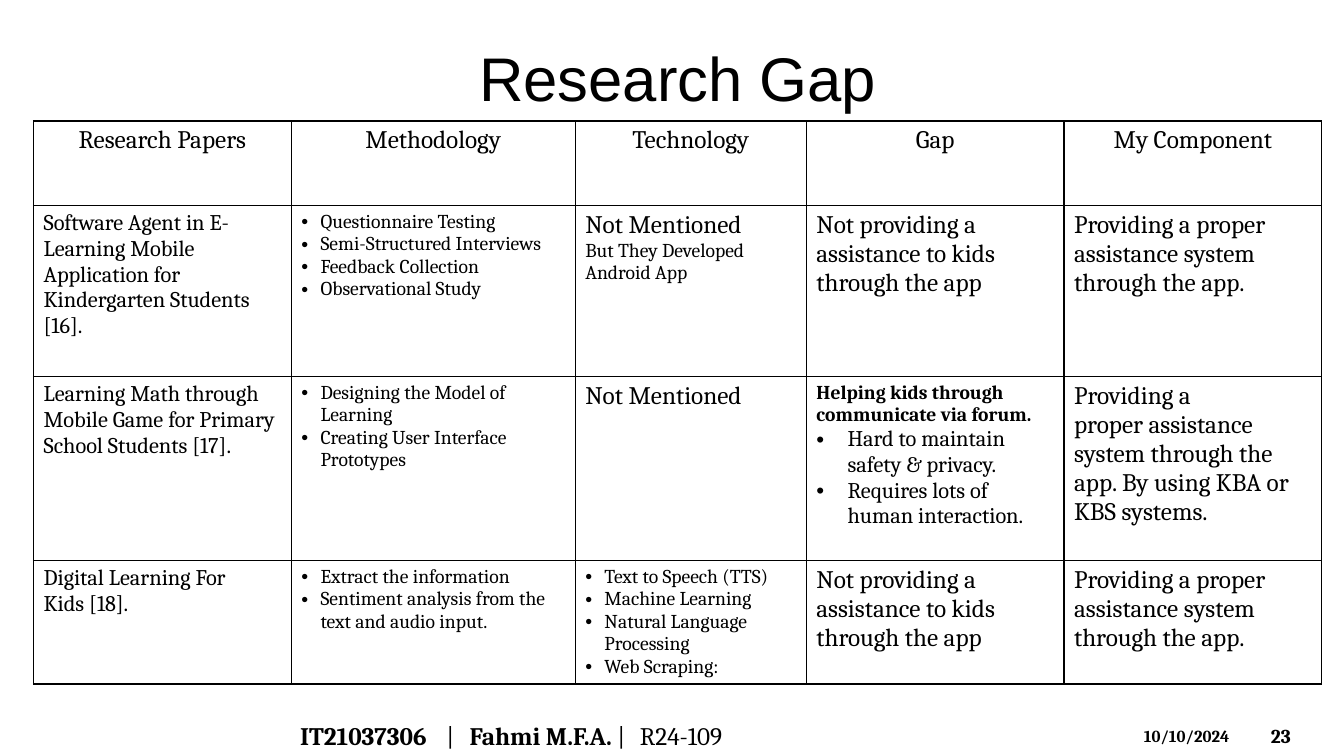
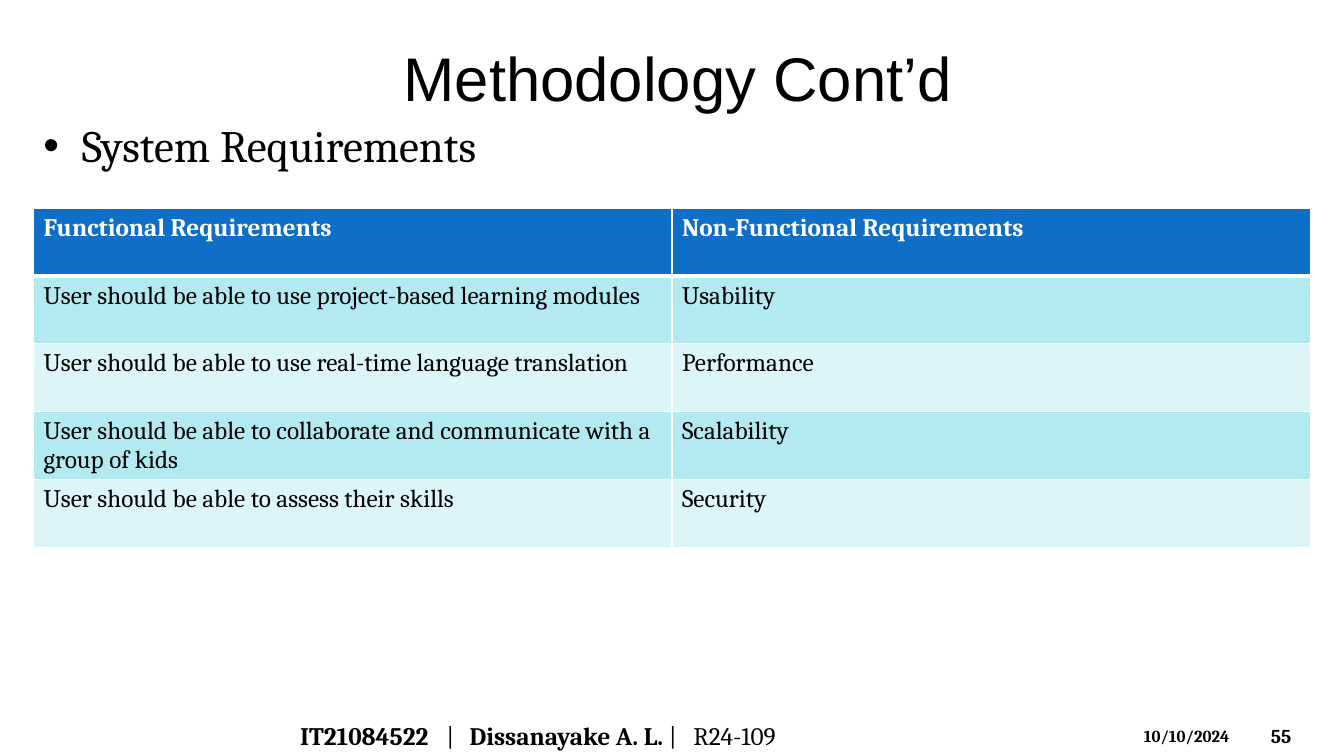
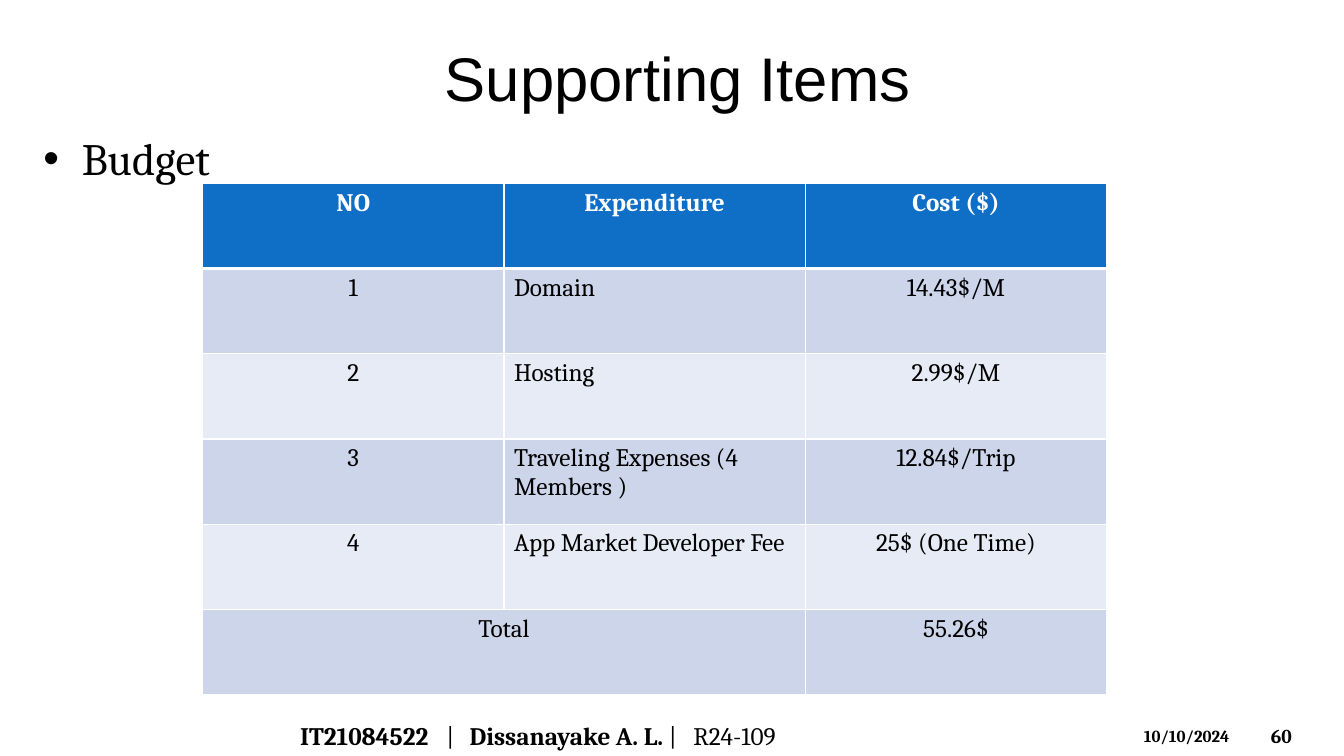
from dataclasses import dataclass
from pptx import Presentation
from pptx.dml.color import RGBColor
from pptx.enum.shapes import MSO_SHAPE
from pptx.enum.text import MSO_ANCHOR, MSO_AUTO_SIZE, PP_ALIGN
from pptx.oxml.ns import qn
from pptx.util import Inches, Pt
from lxml.etree import SubElement


@dataclass(frozen=True)
class Theme:
    black: str = "000000"
    white: str = "FFFFFF"
    blue: str = "0F6FC6"
    aqua: tuple = ("B3EAF2", "DBF5F9")
    slate: tuple = ("CCD5EA", "E7EBF5")
    title_font: str = "Arial"
    body_font: str = "Cambria"
    title: int = 44
    topic: int = 32
    normal: int = 18
    medium: int = 16
    small: int = 14
    tiny: int = 12


th = Theme()
STYLES = {
    "title": dict(size=th.title, name=th.title_font),
    "topic": dict(size=th.topic, indent=0.38),
    "head": dict(bold=True, color=th.white),
    "cell": dict(),
    "strong": dict(bold=True),
    "paper": dict(size=th.medium),
    "detail": dict(size=th.small),
    "lead": dict(size=th.small, bold=True),
    "item": dict(size=th.small, indent=0.19),
    "point": dict(size=th.medium, indent=0.31),
    "number": dict(size=th.small, bold=True),
    "date": dict(size=th.tiny, bold=True),
}
ALIGN = {"l": PP_ALIGN.LEFT, "c": PP_ALIGN.CENTER}
BANDS = [(42.54, 2.46, 0.63), (43.8, 1.2, 0.39)]
NBSP = chr(160)

prs = Presentation()
prs.slide_width, prs.slide_height = Inches(13.33), Inches(7.5)
COL, ROW = prs.slide_width / 40, prs.slide_height / 45


def write(p, runs, align="l"):
    p.alignment = ALIGN[align]
    pPr = p._p.get_or_add_pPr()
    for text, style in runs:
        fmt = {"size": th.normal, "name": th.body_font, "bold": False,
               "color": th.black, **STYLES[style]}
        indent = Inches(fmt.pop("indent", 0))
        if indent:
            pPr.set("marL", str(indent))
            pPr.set("indent", str(-indent))
            SubElement(pPr, qn("a:buFont")).set("typeface", "Arial")
            SubElement(pPr, qn("a:buChar")).set("char", "•")
        r = p.add_run()
        r.text = text
        r.font.color.rgb = RGBColor.from_string(fmt.pop("color"))
        fmt["size"] = Pt(fmt["size"])
        for key, value in fmt.items():
            setattr(r.font, key, value)


def place(sp, x, y, w, h, anchor=MSO_ANCHOR.MIDDLE):
    box = dict(left=x * COL, top=y * ROW, width=w * COL, height=h * ROW)
    for key, value in box.items():
        setattr(sp, key, int(value))
    tf = sp.text_frame
    for key, value in dict(word_wrap=True, auto_size=MSO_AUTO_SIZE.NONE,
                           vertical_anchor=anchor).items():
        setattr(tf, key, value)
    return tf.paragraphs[0]


NO_HELP = "Not providing a assistance to kids through the app"
HELP = "Providing a proper assistance system through the app."

slides = [
    dict(
        title="Research Gap", number="23",
        author=("IT21037306", "Fahmi M.F.A."), code_tab=3.37,
        at=(1, 7.2), cols=[7.67, 8.45, 6.88, 7.67, 7.67],
        rows=[5.04, 10.17, 10.96, 7.35],
        head="cell", head_align="c", aligns="lllll",
        line=th.black, head_line=1, head_fill=None, bands=None,
        cells=[
            ["Research Papers", "Methodology", "Technology", "Gap", "My Component"],
            [[("Software Agent in E-Learning Mobile Application for Kindergarten Students [16].", "paper")],
             [("Questionnaire Testing", "item"),
              ("Semi-Structured Interviews", "item"),
              ("Feedback Collection", "item"),
              ("Observational Study", "item")],
             [("Not Mentioned", "cell"),
              ("But They Developed Android App", "detail")],
             NO_HELP, HELP],
            [[("Learning Math through Mobile Game for Primary School Students [17].", "paper")],
             [("Designing the Model of Learning", "item"),
              ("Creating User Interface Prototypes", "item")],
             "Not Mentioned",
             [("Helping kids through communicate via forum.", "lead"),
              ("Hard to maintain safety & privacy.", "point"),
              ("Requires lots of human interaction.", "point")],
             f"Providing a proper{NBSP}assistance system{NBSP}through the app. By using KBA or KBS systems."],
            [[(f"Digital Learning For Kids{NBSP}[18].", "paper")],
             [("Extract the information", "item"),
              ("Sentiment analysis from the text and audio input.", "item")],
             [("Text to Speech (TTS)", "item"),
              ("Machine Learning", "item"),
              ("Natural Language Processing", "item"),
              ("Web Scraping:", "item")],
             NO_HELP, HELP],
        ]),
    dict(
        title="Methodology Cont’d", number="55",
        author=("IT21084522", "Dissanayake A. L."), code_tab=3.9,
        topic=("System Requirements", 6.72),
        at=(1, 12.43), cols=[19] * 2, rows=[4.02] * 5,
        head="head", head_align="l", aligns="ll",
        line=th.white, head_line=3, head_fill=th.blue, bands=th.aqua,
        cells=[
            ["Functional Requirements", "Non-Functional Requirements"],
            ["User should be able to use project-based learning modules", "Usability"],
            ["User should be able to use real-time language translation", "Performance"],
            ["User should be able to collaborate and communicate with a group of kids", "Scalability"],
            ["User should be able to assess their skills", "Security"],
        ]),
    dict(
        title="Supporting Items", number="60",
        author=("IT21084522", "Dissanayake A. L."), code_tab=3.9,
        topic=("Budget", 7.5),
        at=(6.03, 10.92), cols=[8.97] * 3, rows=[5.07] * 6,
        head="head", head_align="c", aligns="clc",
        line=th.white, head_line=3, head_fill=th.blue, bands=th.slate,
        cells=[
            ["NO", "Expenditure", "Cost ($)"],
            ["1", "Domain", "14.43$/M"],
            ["2", "Hosting", "2.99$/M"],
            ["3", "Traveling Expenses (4 Members )", "12.84$/Trip"],
            ["4", "App Market Developer Fee", "25$ (One Time)"],
            ["Total", None, "55.26$"],
        ]),
]

for d in slides:
    s = prs.slides.add_slide(prs.slide_layouts[5])
    write(place(s.shapes.title, 1, 2, 38.35, 5.2), [(d["title"], "title")], "c")

    for top, height, peak in BANDS:
        sp = s.shapes.add_shape(MSO_SHAPE.ISOSCELES_TRIANGLE, 0, 0, 0, 0)
        place(sp, 0, top, 40, height)
        sp.adjustments[0] = peak
        sp.shadow.inherit = False
        sp.line.fill.background()
        sp.fill.solid()
        sp.fill.fore_color.rgb = RGBColor.from_string(th.white)
        color = sp._element.spPr.find(qn("a:solidFill"))[0]
        SubElement(color, qn("a:alpha")).set("val", "20000")

    if "topic" in d:
        text, top = d["topic"]
        p = place(s.shapes.add_textbox(0, 0, 0, 0), 1, top, 38.35, 4, MSO_ANCHOR.TOP)
        write(p, [(text, "topic")])

    x, y = d["at"]
    frame = s.shapes.add_table(
        len(d["rows"]), len(d["cols"]), int(x * COL), int(y * ROW),
        int(sum(d["cols"]) * COL), int(sum(d["rows"]) * ROW))
    tbl = frame.table
    tbl.first_row = tbl.horz_banding = False
    for column, width in zip(tbl.columns, d["cols"]):
        column.width = int(width * COL)
    for row, height in zip(tbl.rows, d["rows"]):
        row.height = int(height * ROW)

    for i, values in enumerate(d["cells"]):
        for j, value in enumerate(values):
            cell = tbl.cell(i, j)
            tcPr = cell._tc.get_or_add_tcPr()
            for side in "LRTB":
                thick = (i, side) in ((0, "B"), (1, "T"))
                ln = SubElement(tcPr, qn(f"a:ln{side}"))
                ln.set("w", str(Pt(d["head_line"] if thick else 1)))
                fill = SubElement(ln, qn("a:solidFill"))
                SubElement(fill, qn("a:srgbClr")).set("val", d["line"])
            if d["bands"]:
                color = d["bands"][(i - 1) % 2] if i else d["head_fill"]
                cell.fill.solid()
                cell.fill.fore_color.rgb = RGBColor.from_string(color)
            else:
                cell.fill.background()
            if value is None:
                tbl.cell(i, j - 1).merge(cell)
                continue
            style = "cell" if i else d["head"]
            align = d["aligns"][j] if i else d["head_align"]
            paras = value if isinstance(value, list) else [(value, style)]
            tf = cell.text_frame
            for k, run in enumerate(paras):
                write(tf.add_paragraph() if k else tf.paragraphs[0], [run], align)

    p = place(s.shapes.add_textbox(0, 0, 0, 0), 8.64, 42.6, 22.35, 2.4)
    tabs = SubElement(p._p.get_or_add_pPr(), qn("a:tabLst"))
    for pos in (1.45, 1.68, d["code_tab"]):
        tab = SubElement(tabs, qn("a:tab"))
        tab.set("pos", str(Inches(pos)))
        tab.set("algn", "l")
    student, name = d["author"]
    write(p, [(student, "strong"), ("\t|\t", "cell"),
              (name, "strong"), (" |\tR24-109", "cell")])

    p = place(s.shapes.add_textbox(0, 0, 0, 0), 33.75, 42.9, 3.52, 1.8, MSO_ANCHOR.TOP)
    write(p, [("10/10/2024", "date")])
    p = place(s.shapes.add_textbox(0, 0, 0, 0), 37.53, 42.6, 2.22, 2.4)
    write(p, [(d["number"], "number")])

prs.save("out.pptx")
